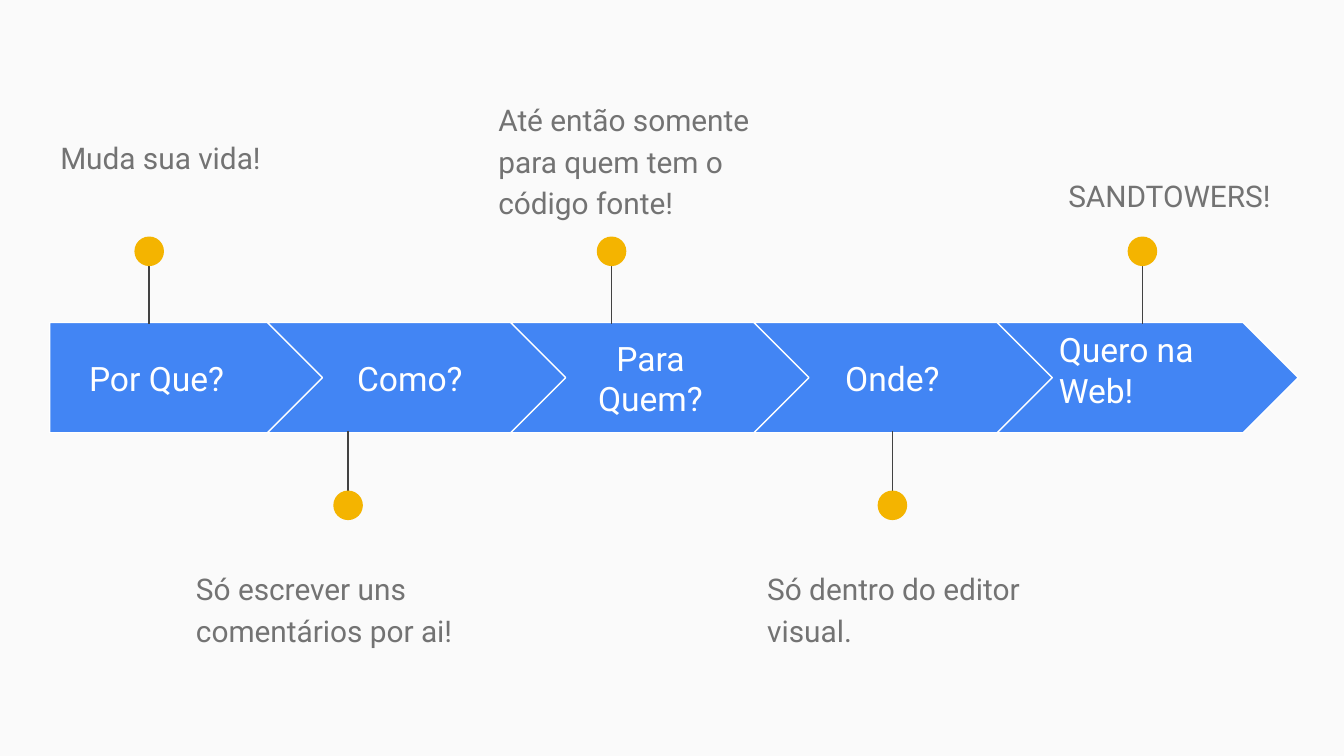
"""Build a five-step arrow timeline with pinned notes."""
from collections import namedtuple
from dataclasses import dataclass

from lxml.etree import SubElement
from pptx import Presentation
from pptx.dml.color import RGBColor as Rgb
from pptx.enum.shapes import MSO_CONNECTOR as Link, MSO_SHAPE as Kind
from pptx.enum.text import MSO_ANCHOR as Anchor, PP_ALIGN as Align
from pptx.oxml.ns import qn
from pptx.util import Inches, Pt


@dataclass(frozen=True)
class Theme:
    back: Rgb = Rgb(0xFA, 0xFA, 0xFA)
    blue: Rgb = Rgb(0x42, 0x85, 0xF4)
    gold: Rgb = Rgb(0xF4, 0xB4, 0x00)
    white: Rgb = Rgb(0xFF, 0xFF, 0xFF)
    dark: Rgb = Rgb(0x42, 0x42, 0x42)
    gray: Rgb = Rgb(0x73, 0x73, 0x73)
    font: str = "Roboto"
    label: Pt = Pt(18)
    note: Pt = Pt(16)
    line: Pt = Pt(0.75)


THEME = Theme()
TOP, HIGH = 2.4, 0.82
FIRST, PITCH = 0.18, 1.81
BALL = 0.22

Step = namedtuple("Step", "label box align pin up note spot")
STEPS = [
    Step("Por Que?", (0.37, 2.56, 1.59, 0.51), Align.CENTER,
         1.11, True, "Muda sua vida!", (0.35, 0.9)),
    Step("Como?", (2.33, 2.56, 1.44, 0.51), Align.CENTER,
         2.59, False, "Só escrever uns comentários por ai!", (1.36, 4.11)),
    Step("Para Quem?", (4.12, 2.56, 1.44, 0.51), Align.CENTER,
         4.55, True, "Até então somente para quem tem o código fonte!",
         (3.61, 0.62)),
    Step("Onde?", (5.92, 2.56, 1.44, 0.51), Align.CENTER,
         6.64, False, "Só dentro do editor visual.", (5.61, 4.11)),
    Step("Quero na Web!", (7.78, 2.56, 1.44, 0.38), Align.LEFT,
         8.5, True, "SANDTOWERS!", (7.85, 1.18)),
]


def add_shape(slide, kind, box, fill, edge=None):
    shape = slide.shapes.add_shape(kind, *map(Inches, box))
    shape.shadow.inherit = False
    shape.fill.solid()
    shape.fill.fore_color.rgb = fill
    if edge is None:
        shape.line.fill.background()
    else:
        shape.line.color.rgb = edge
        shape.line.width = THEME.line


def add_text(slide, text, box, size, color, align, anchor):
    frame = slide.shapes.add_textbox(*map(Inches, box)).text_frame
    frame.word_wrap = True
    frame.vertical_anchor = anchor
    frame.margin_left = frame.margin_right = Inches(0.1)
    frame.margin_top = frame.margin_bottom = Inches(0.1)
    frame.text = text
    para = frame.paragraphs[0]
    para.alignment = align
    font = para.runs[0].font
    font.name, font.size = THEME.font, size
    font.color.rgb = color
    return para


def add_arrow(slide, index):
    left = FIRST + index * PITCH
    if index == 0:
        kind, box = Kind.PENTAGON, (0.37, TOP, 2.05, HIGH)
    else:
        kind, box = Kind.CHEVRON, (left, TOP, 2.24, HIGH)
    add_shape(slide, kind, box, THEME.blue, THEME.white)


def add_pin(slide, x, up):
    start, end, mid = (1.8, 2.41, 1.87) if up else (3.82, 3.21, 3.76)
    line = slide.shapes.add_connector(
        Link.STRAIGHT, *map(Inches, (x, start, x, end)))
    line.line.color.rgb = THEME.dark
    line.line.width = THEME.line
    SubElement(line._element.spPr, qn("a:effectLst"))
    box = (x - BALL / 2, mid - BALL / 2, BALL, BALL)
    add_shape(slide, Kind.OVAL, box, THEME.gold)


def add_note(slide, text, spot):
    para = add_text(slide, text, (*spot, 2.45, 0.99), THEME.note,
                    THEME.gray, Align.LEFT, Anchor.TOP)
    para.line_spacing = 1.15
    para.space_after = Pt(16)


def main():
    deck = Presentation()
    deck.slide_width = Inches(10)
    deck.slide_height = deck.slide_width * 9 // 16
    slide = deck.slides.add_slide(deck.slide_layouts[6])
    slide.background.fill.solid()
    slide.background.fill.fore_color.rgb = THEME.back
    for index, step in enumerate(STEPS):
        add_arrow(slide, index)
        add_text(slide, step.label, step.box, THEME.label, THEME.white,
                 step.align, Anchor.MIDDLE)
        add_pin(slide, step.pin, step.up)
        add_note(slide, step.note, step.spot)
    deck.save("out.pptx")


if __name__ == "__main__":
    main()
